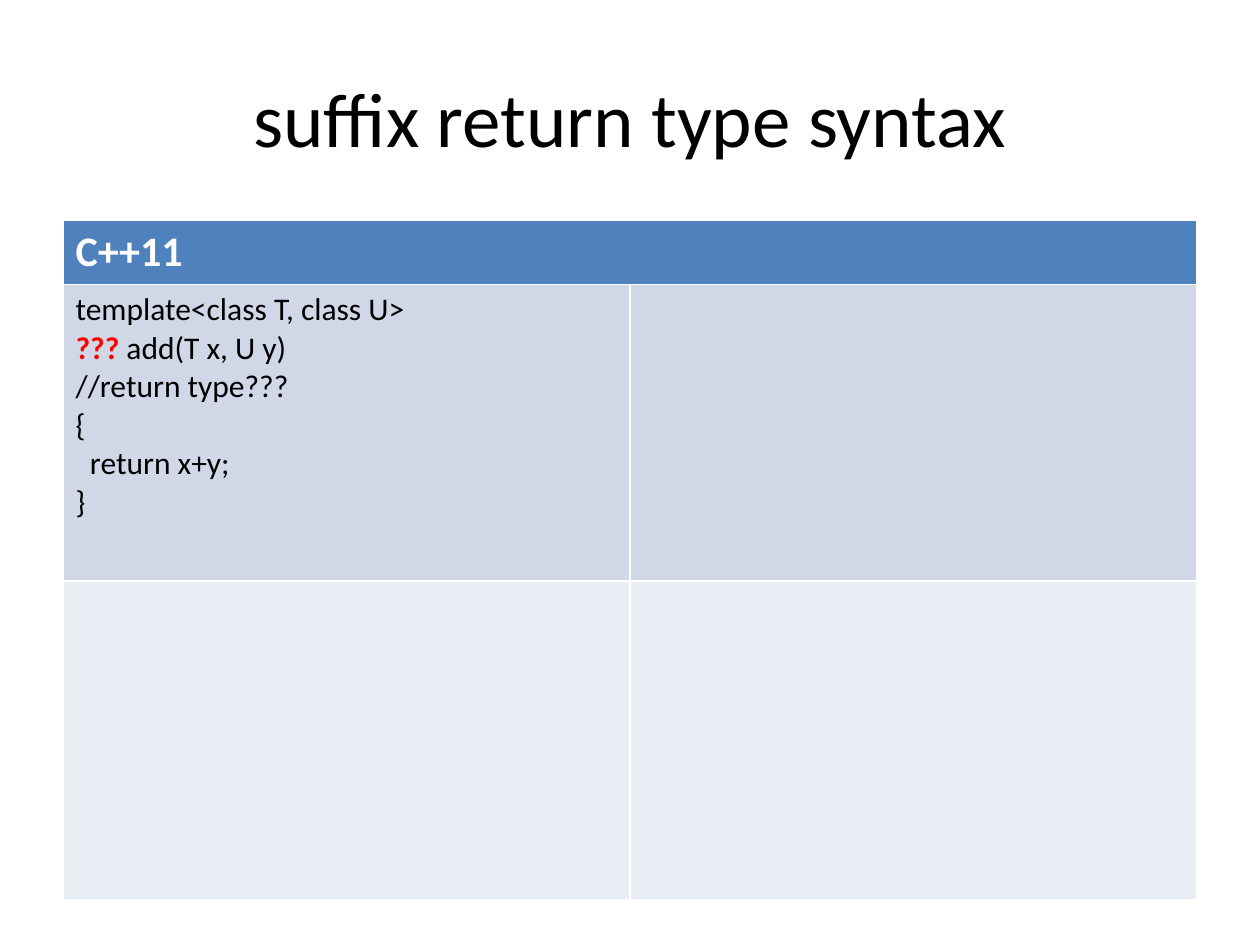
from pptx import Presentation
from pptx.dml.color import RGBColor
from pptx.enum import text as t
from pptx.util import Cm, Pt

COLORS = {"ink": "000000", "white": "FFFFFF", "alert": "FF0000",
          "header": "4F81BD", "band_dark": "D0D8E8", "band_light": "E9EDF4"}


class SlideBuilder:
    """Holds the text style and the current slide."""
    font_name = "Calibri"

    def __init__(self, deck):
        self.slide = deck.slides.add_slide(deck.slide_layouts[5])

    def style(self, font, size, color="ink", bold=False):
        font.name, font.size, font.bold = self.font_name, Pt(size), bold
        font.color.rgb = RGBColor.from_string(COLORS[color])

    def title(self, wording, left, top, width, height):
        title = self.slide.shapes.title
        title.left, title.top, title.width, title.height = left, top, width, height
        title.text_frame.text = wording
        title.text_frame.vertical_anchor = t.MSO_ANCHOR.MIDDLE
        heading = title.text_frame.paragraphs[0]
        heading.alignment = t.PP_ALIGN.CENTER
        self.style(heading.font, 44)

    def table(self, left, top, width, row_heights, fills, columns=2):
        grid = self.slide.shapes.add_table(
            len(row_heights), columns, left, top, width, sum(row_heights)).table
        for row, height, fill in zip(grid.rows, row_heights, fills):
            row.height = height
            for cell in row.cells:
                cell.fill.solid()
                cell.fill.fore_color.rgb = RGBColor.from_string(COLORS[fill])
        return grid

    def lines(self, cell, lines, size, color="ink", bold=False):
        """Each line is (indent, [(wording, accent color or None), ...])."""
        frame = cell.text_frame
        for i, (indent, parts) in enumerate(lines):
            line = frame.add_paragraph() if i else frame.paragraphs[0]
            self.style(line.font, size, color, bold)
            if indent:
                line._p.get_or_add_pPr().set("marL", str(int(indent)))
            for wording, accent in parts:
                run = line.add_run()
                run.text = wording
                # Runs in table cells take their look from the run itself
                self.style(run.font, size, accent or color, bold or bool(accent))


deck = Presentation()
deck.slide_width, deck.slide_height = Cm(25.4), Cm(19.05)
builder = SlideBuilder(deck)
margin, content_width = Cm(1.27), Cm(22.86)

# Title
builder.title("suffix return type syntax", margin, Cm(0.76), content_width, Cm(3.18))

# Comparison table with a header across both columns
comparison = builder.table(margin, Cm(4.45), content_width,
                           [Cm(1.27), Cm(5.97), Cm(6.43)],
                           ["header", "band_dark", "band_light"])
comparison.cell(0, 0).merge(comparison.cell(0, 1))
builder.lines(comparison.cell(0, 0), [(0, [("C++11", None)])], 24, "white", True)

# Code sample
code = [
    (0, [("template<class T, class U>", None)]),
    (0, [("??? ", "alert"), ("add(T x, U y)", None)]),
    (0, [("//return type???", None)]),
    (0, [("{", None)]),
    (Cm(0.29), [("return x+y;", None)]),
    (0, [("}", None)]),
]
builder.lines(comparison.cell(1, 0), code, 18)

deck.save("out.pptx")
